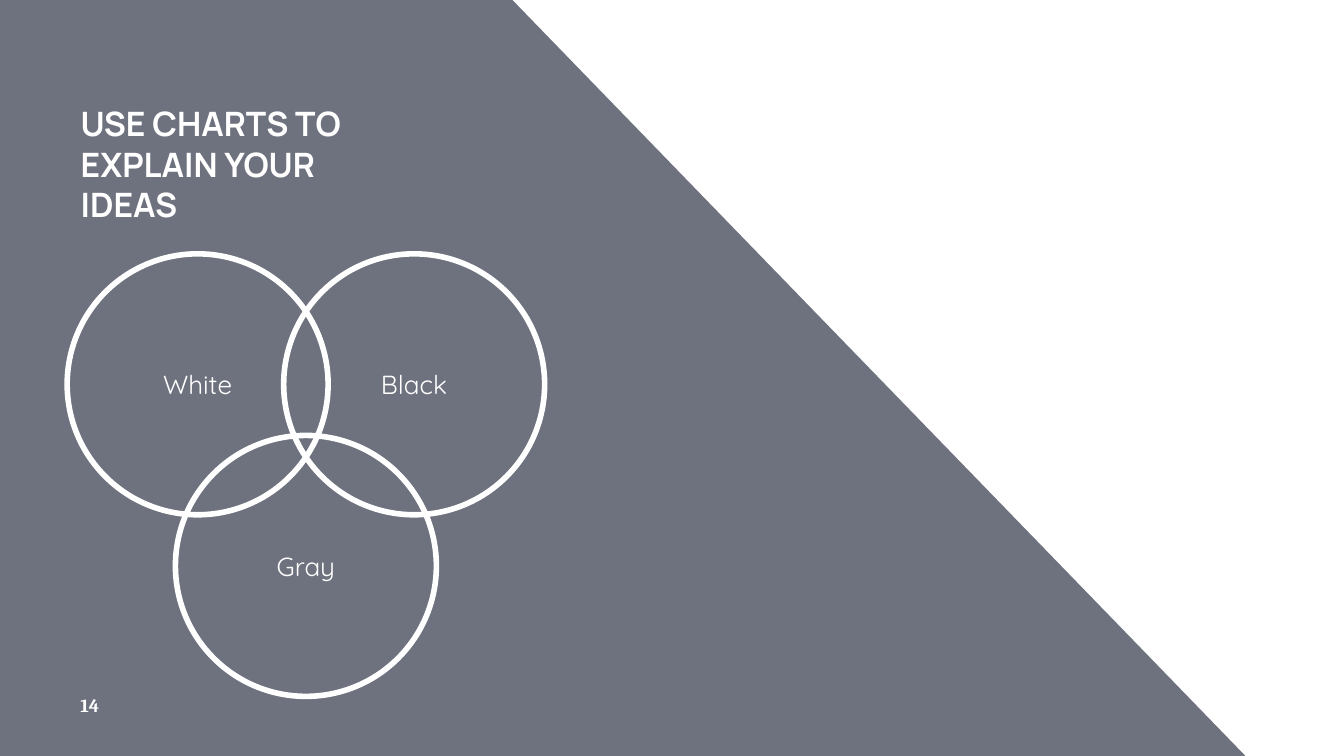
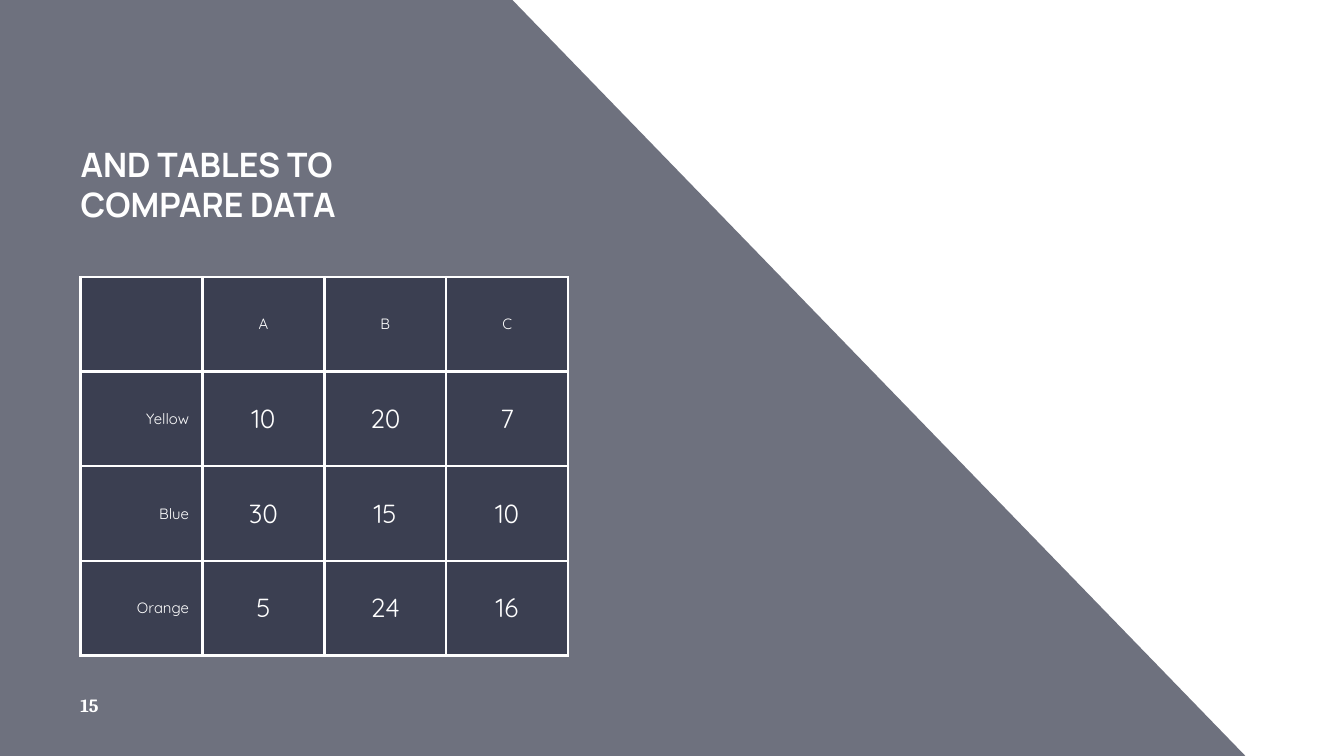
from lxml import etree
from pptx import Presentation
from pptx import util as u
from pptx.dml import color
from pptx.enum import shapes, text
from pptx.oxml import ns

Pt = u.Pt
WIDTH, HEIGHT = 720, 405
WHITE, NAVY = "FFFFFF", "212539"
NAVY_OPACITY = 65
LEFT, CENTER, RIGHT = text.PP_ALIGN.LEFT, text.PP_ALIGN.CENTER, text.PP_ALIGN.RIGHT
MIDDLE, BOTTOM = text.MSO_ANCHOR.MIDDLE, text.MSO_ANCHOR.BOTTOM

# Text styles
TITLE = {"name": "Manrope", "size": Pt(18), "bold": True}
BODY = {"name": "Quicksand", "size": Pt(14), "bold": False}
LABEL = {**BODY, "size": Pt(8)}
NUMBER = {"name": "Cambria", "size": Pt(10), "bold": True}
INSET = Pt(7.2)
FRAME = {"word_wrap": True, "auto_size": text.MSO_AUTO_SIZE.NONE,
         "margin_left": INSET, "margin_right": INSET,
         "margin_top": INSET, "margin_bottom": INSET}
CELL = {"margin_left": INSET, "margin_right": INSET,
        "margin_top": Pt(5), "margin_bottom": Pt(5), "vertical_anchor": MIDDLE}


def set_values(target, values):
    for name, value in values.items():
        setattr(target, name, value)


def paint(fill, hex_color, opacity=100):
    """Give a fill a solid colour, with opacity in percent."""
    fill.solid()
    fill.fore_color.rgb = color.RGBColor.from_string(hex_color)
    if opacity < 100:
        for tint in fill._xPr.iter(ns.qn("a:srgbClr")):
            etree.SubElement(tint, ns.qn("a:alpha"), val=str(opacity * 1000))


class Deck:
    def __init__(self):
        self.presentation = Presentation()
        self.presentation.slide_width = Pt(WIDTH)
        self.presentation.slide_height = Pt(HEIGHT)
        self.layout = self.presentation.slide_layouts[5]
        self.slide = None

    def add_slide(self, title, number):
        self.slide = self.presentation.slides.add_slide(self.layout)
        if len(self.presentation.slides) == 1:
            self.band()
        shape = self.slide.shapes.title
        set_values(shape, {"left": Pt(36), "top": Pt(77.8),
                           "width": Pt(188), "height": Pt(49.6)})
        self.fill_frame(shape.text_frame, title, TITLE, LEFT, BOTTOM)
        box = self.slide.shapes.add_textbox(Pt(36), Pt(368), Pt(43.2), Pt(19.4))
        self.fill_frame(box.text_frame, str(number), NUMBER, LEFT, MIDDLE)

    def band(self):
        """Slanted band, kept on the layout so that every slide shows it."""
        builder = self.slide.shapes.build_freeform(Pt(274.5), 0)
        corners = [(0, 0), (0, HEIGHT), (667.2, HEIGHT)]
        builder.add_line_segments([(Pt(x), Pt(y)) for x, y in corners])
        shape = builder.convert_to_shape()
        shape.shadow.inherit = False
        paint(shape.fill, NAVY, NAVY_OPACITY)
        shape.line.fill.background()
        self.layout.shapes._spTree.insert(2, shape._element)

    def fill_frame(self, frame, words, font, align, anchor):
        set_values(frame, {**FRAME, "vertical_anchor": anchor})
        self.fill_paragraph(frame.paragraphs[0], words, font, align)

    def fill_paragraph(self, paragraph, words, font, align):
        paragraph.alignment = align
        run = paragraph.add_run()
        run.text = words
        set_values(run.font, font)
        paint(run.font.fill, WHITE)

    def ring(self, left, top, size, words):
        shape = self.slide.shapes.add_shape(
            shapes.MSO_SHAPE.OVAL, Pt(left), Pt(top), Pt(size), Pt(size))
        shape.shadow.inherit = False
        shape.fill.background()
        paint(shape.line.fill, WHITE)
        shape.line.width = Pt(3)
        self.fill_frame(shape.text_frame, words, BODY, CENTER, MIDDLE)

    def table(self, left, top, column_width, row_height, rows):
        columns = len(rows[0])
        table = self.slide.shapes.add_table(
            len(rows), columns, Pt(left), Pt(top),
            Pt(column_width * columns), Pt(row_height * len(rows))).table
        set_values(table, {"first_row": False, "horz_banding": False})
        for column in table.columns:
            column.width = Pt(column_width)
        for r, row in enumerate(rows):
            table.rows[r].height = Pt(row_height)
            for c, words in enumerate(row):
                cell = table.cell(r, c)
                set_values(cell, CELL)
                self.borders(cell)
                paint(cell.fill, NAVY, NAVY_OPACITY)
                if words:
                    font = BODY if r and c else LABEL
                    align = CENTER if c else RIGHT
                    self.fill_paragraph(cell.text_frame.paragraphs[0], words, font, align)

    def borders(self, cell):
        properties = cell._tc.get_or_add_tcPr()
        for side in ("lnL", "lnR", "lnT", "lnB"):
            line = etree.SubElement(properties, ns.qn(f"a:{side}"), w=str(int(Pt(1.5))))
            fill = etree.SubElement(line, ns.qn("a:solidFill"))
            etree.SubElement(fill, ns.qn("a:srgbClr"), val=WHITE)


def main():
    deck = Deck()

    # Three overlapping rings
    deck.add_slide("USE CHARTS TO EXPLAIN YOUR IDEAS", 14)
    left, top, size, step, drop = 36, 136, 139.8, 116, 97.3
    deck.ring(left + step / 2, top + drop, size, "Gray")
    for index, words in enumerate(["White", "Black"]):
        deck.ring(left + index * step, top, size, words)

    # Data table
    deck.add_slide("AND TABLES TO COMPARE DATA", 15)
    deck.table(43.2, 148.4, 65.3, 50.7, [
        ["", "A", "B", "C"],
        ["Yellow", "10", "20", "7"],
        ["Blue", "30", "15", "10"],
        ["Orange", "5", "24", "16"],
    ])

    deck.presentation.save("out.pptx")


if __name__ == "__main__":
    main()
